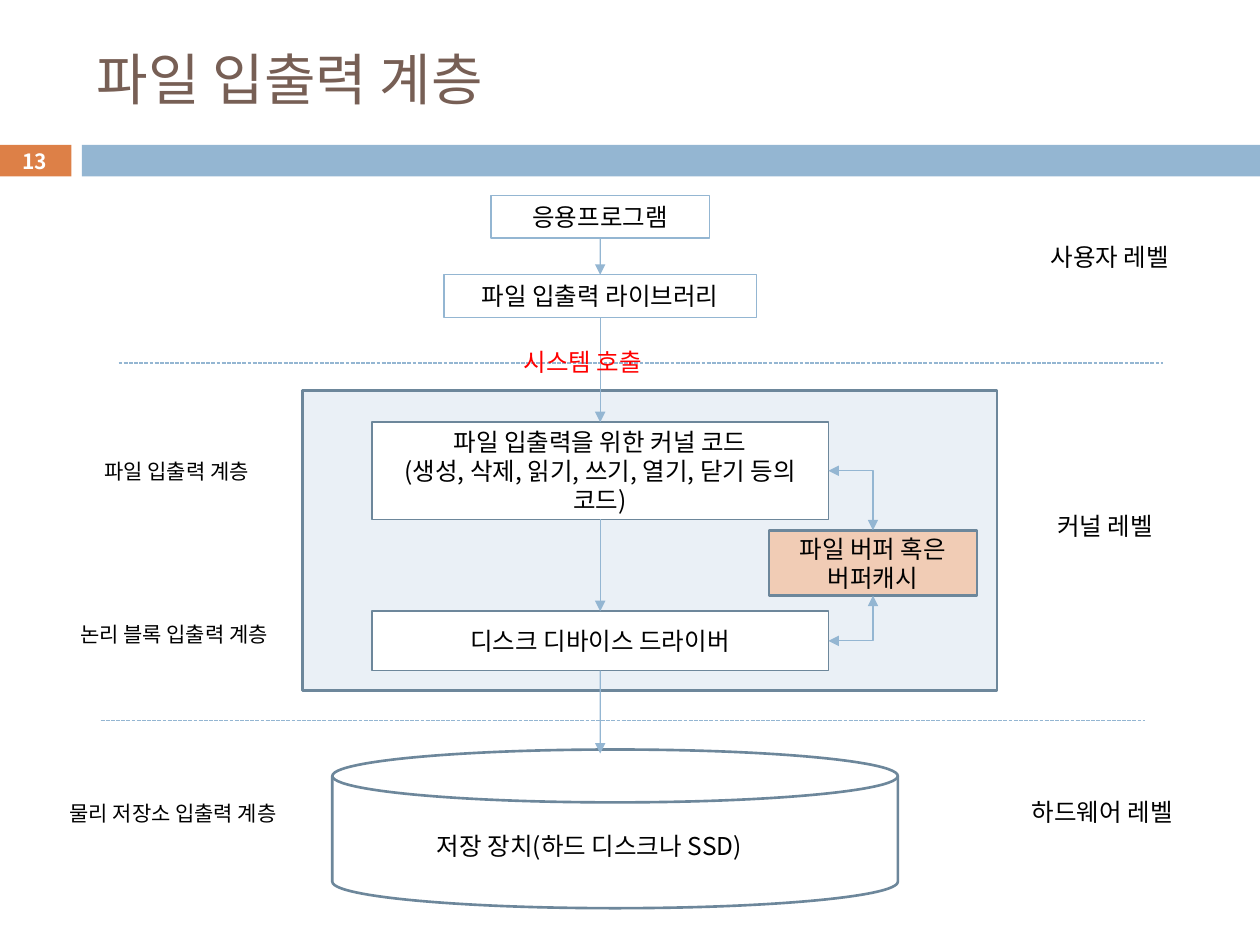
from dataclasses import dataclass

from lxml.etree import SubElement
from pptx import Presentation
from pptx.dml.color import RGBColor
from pptx.enum.dml import MSO_LINE
from pptx.enum.shapes import MSO_CONNECTOR, MSO_SHAPE
from pptx.enum.text import MSO_ANCHOR, PP_ALIGN
from pptx.oxml.ns import qn
from pptx.util import Cm, Pt


@dataclass(frozen=True)
class Theme:
    font: str = "Noto Sans CJK KR"
    title: str = "775F55"
    text: str = "000000"
    white: str = "FFFFFF"
    alert: str = "FF0000"
    blue: str = "94B6D2"
    edge: str = "6D879B"
    orange: str = "DD8047"
    peach: str = "F1CCB5"
    panel: str = "EAF0F6"
    title_size: float = 32
    body_size: float = 14
    label_size: float = 12
    thin: float = 0.75
    thick: float = 1.5


T = Theme()


def write(s, lines, size=T.body_size, color=T.text, align=PP_ALIGN.CENTER, bold=False):
    tf = s.text_frame
    tf.word_wrap = True
    tf.vertical_anchor = MSO_ANCHOR.MIDDLE
    for i, line in enumerate(lines):
        p = tf.add_paragraph() if i else tf.paragraphs[0]
        p.alignment = align
        r = p.add_run()
        r.text = line
        r.font.size = Pt(size)
        r.font.bold = bold
        r.font.name = T.font
        r.font.color.rgb = RGBColor.from_string(color)
        SubElement(r.font._element, qn("a:ea"), typeface=T.font)


def add_box(box, fill=None, line=None, width=T.thin, kind=MSO_SHAPE.RECTANGLE):
    s = slide.shapes.add_shape(kind, *map(Cm, box))
    s.shadow.inherit = False
    if fill:
        s.fill.solid()
        s.fill.fore_color.rgb = RGBColor.from_string(fill)
    else:
        s.fill.background()
    if line:
        s.line.color.rgb = RGBColor.from_string(line)
        s.line.width = Pt(width)
    else:
        s.line.fill.background()
    return s


prs = Presentation()
prs.slide_width, prs.slide_height = Cm(25.4), Cm(19.05)
slide = prs.slides.add_slide(prs.slide_layouts[5])

# Title and header band
title = slide.shapes.title
title.left, title.top, title.width, title.height = map(Cm, (1.7, 0.64, 22.66, 1.88))
write(title, ["파일 입출력 계층"], T.title_size, T.title, PP_ALIGN.LEFT)
add_box((1.65, 2.92, 23.75, 0.64), T.blue)
number = add_box((-0.03, 2.92, 1.47, 0.64), T.orange)
write(number, ["13"], T.label_size, T.white, bold=True)

# Layers of the I/O stack
app = add_box((9.9, 3.94, 4.4, 0.86), line=T.blue)
library = add_box((8.95, 5.54, 6.3, 0.86), line=T.blue)
add_box((6.1, 7.87, 14, 6.05), T.panel, T.edge, T.thick)
kernel = add_box((7.5, 8.51, 9.2, 1.96), T.white, T.edge)
driver = add_box((7.5, 12.32, 9.2, 1.2), T.white, T.edge)
buffer = add_box((15.5, 10.69, 4.2, 1.32), T.peach, T.edge, T.thick)
add_box((6.7, 15.11, 11.4, 3.2), None, T.edge, T.thick, MSO_SHAPE.FLOWCHART_MAGNETIC_DISK)

write(app, ["응용프로그램"])
write(library, ["파일 입출력 라이브러리"])
write(kernel, ["파일 입출력을 위한 커널 코드", "(생성, 삭제, 읽기, 쓰기, 열기, 닫기 등의 코드)"])
write(driver, ["디스크 디바이스 드라이버"])
write(buffer, ["파일 버퍼 혹은", "버퍼캐시"])

# Connectors: start shape and side, end shape and side, or plain points
TOP, BOTTOM, RIGHT = 0, 2, 3
STRAIGHT, ELBOW = MSO_CONNECTOR.STRAIGHT, MSO_CONNECTOR.ELBOW
links = [
    (STRAIGHT, (app, BOTTOM), (library, TOP), ["tailEnd"]),
    (STRAIGHT, (library, BOTTOM), (kernel, TOP), ["tailEnd"]),
    (STRAIGHT, (kernel, BOTTOM), (driver, TOP), ["tailEnd"]),
    (STRAIGHT, (driver, BOTTOM), (12.1, 15.19), ["tailEnd"]),
    (ELBOW, (driver, RIGHT), (buffer, BOTTOM), ["headEnd", "tailEnd"]),
    (ELBOW, (kernel, RIGHT), (buffer, TOP), ["headEnd", "tailEnd"]),
    (STRAIGHT, (2.39, 7.32), (23.44, 7.32), []),
    (STRAIGHT, (2.03, 14.53), (23.09, 14.53), []),
]
for kind, start, end, heads in links:
    joined = [not isinstance(point[0], (int, float)) for point in (start, end)]
    x1, y1 = (0, 0) if joined[0] else start
    x2, y2 = (0, 0) if joined[1] else end
    c = slide.shapes.add_connector(kind, Cm(x1), Cm(y1), Cm(x2), Cm(y2))
    if joined[0]:
        c.begin_connect(*start)
    if joined[1]:
        c.end_connect(*end)
    if kind == ELBOW:
        c._element.spPr.find(qn("a:prstGeom")).set("prst", "bentConnector2")
    c.line.color.rgb = RGBColor.from_string(T.blue)
    c.line.width = Pt(T.thin)
    if not heads:
        c.line.dash_style = MSO_LINE.SQUARE_DOT
    for head in heads:
        SubElement(c.line._get_or_add_ln(), qn(f"a:{head}"), type="triangle")
    SubElement(c._element.spPr, qn("a:effectLst"))

# Level names and notes
notes = [
    (20.93, 4.75, 3.18, "사용자 레벨", T.text),
    (21.06, 10.16, 2.69, "커널 레벨", T.text),
    (20.55, 15.93, 3.68, "하드웨어 레벨", T.text),
    (10.31, 6.86, 3.18, "시스템 호출", T.alert),
    (8.56, 16.61, 8, "저장 장치(하드 디스크나 SSD)", T.text),
]
for x, y, w, text, color in notes:
    s = slide.shapes.add_textbox(Cm(x), Cm(y), Cm(w), Cm(0.86))
    write(s, [text], color=color, align=PP_ALIGN.LEFT)

# Layer names on the left
layers = [
    (1.07, 9.25, 4.98, "파일 입출력 계층"),
    (1.3, 12.52, 4.42, "논리 블록 입출력 계층"),
    (0.66, 16.13, 5.66, "물리 저장소 입출력 계층"),
]
for x, y, w, text in layers:
    s = slide.shapes.add_textbox(Cm(x), Cm(y), Cm(w), Cm(0.51))
    tf = s.text_frame
    tf.margin_left = tf.margin_right = tf.margin_top = tf.margin_bottom = 0
    write(s, [text], T.label_size)

prs.save("out.pptx")
